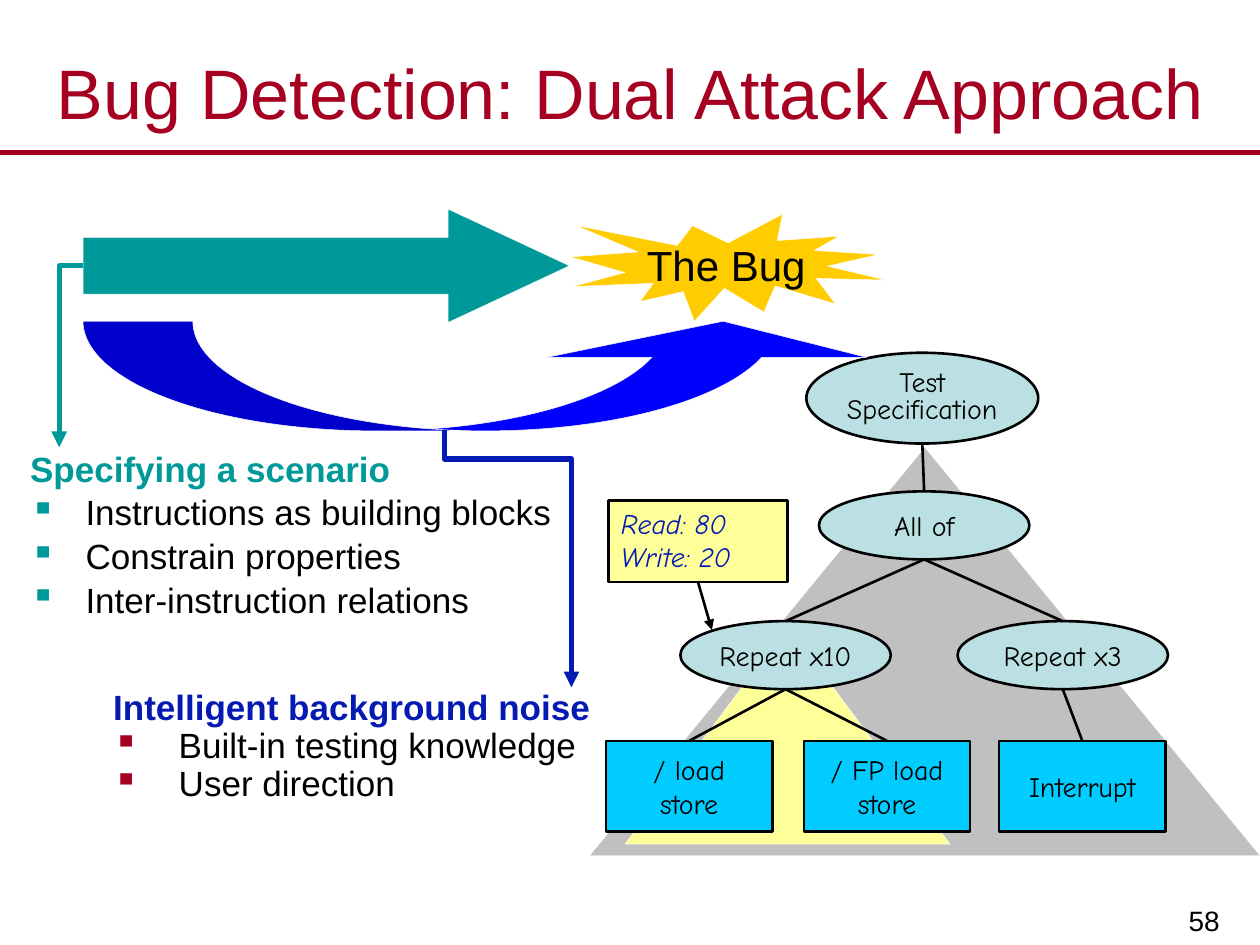
from pptx import Presentation
from pptx.dml.color import RGBColor
from pptx.enum.shapes import MSO_CONNECTOR as Route, MSO_SHAPE as Preset
from pptx.enum.text import MSO_ANCHOR as Anchor, PP_ALIGN as Align
from pptx.oxml.ns import qn
from pptx.util import Inches, Pt
from lxml import etree

COLORS = {
    "crimson": "A50021", "teal": "009999", "navy": "051AB3", "blue": "0000FF",
    "black": "000000", "white": "FFFFFF", "gray": "C0C0C0", "yellow": "FFFF99",
    "gold": "FFCC00", "pale": "BBE0E3", "cyan": "00CCFF",
}
SANS, HAND = "Arial", "Comic Neue"
NODE_W, NODE_H = 1.67, 0.54
LEAF_W, LEAF_H, LEAF_TOP = 1.32, 0.72, 5.88


def rgb(name):
    return RGBColor.from_string(COLORS[name])


def style_font(paragraph, size, face, color, bold=False, italic=False):
    font = paragraph.font
    font.size, font.name = Pt(size), face
    font.bold, font.italic = bold, italic
    font.color.rgb = rgb(color)


def write_lines(frame, lines, size, face, color, align=Align.CENTER,
                spacing=None, italic=False):
    for index, line in enumerate(lines):
        paragraph = frame.paragraphs[0] if index == 0 else frame.add_paragraph()
        paragraph.text = line
        paragraph.alignment = align
        if spacing:
            paragraph.line_spacing = spacing
        style_font(paragraph, size, face, color, italic=italic)


def add_text_box(slide, left, top, width, height, anchor=Anchor.TOP):
    frame = slide.shapes.add_textbox(
        Inches(left), Inches(top), Inches(width), Inches(height)).text_frame
    frame.word_wrap = True
    frame.vertical_anchor = anchor
    return frame


def add_figure(slide, preset, left, top, width, height, fill,
               outline="white", weight=0.25, adjustments=()):
    figure = slide.shapes.add_shape(
        preset, Inches(left), Inches(top), Inches(width), Inches(height))
    figure.shadow.inherit = False
    figure.fill.solid()
    figure.fill.fore_color.rgb = rgb(fill)
    figure.line.color.rgb = rgb(outline)
    figure.line.width = Pt(weight)
    for index, value in enumerate(adjustments):
        figure.adjustments[index] = value
    return figure


def add_node(slide, preset, left, top, width, height, lines, fill, spacing=None):
    """Add a centred, black-outlined box or ellipse of the specification tree."""
    node = add_figure(slide, preset, left, top, width, height, fill, "black", 1.5)
    node.text_frame.word_wrap = False
    node.text_frame.vertical_anchor = Anchor.MIDDLE
    write_lines(node.text_frame, lines, 16, HAND, "black", spacing=spacing)
    return node


def add_line(slide, start, end, color="black", weight=1.5, arrow=False,
             route=Route.STRAIGHT):
    line = slide.shapes.add_connector(route, *map(Inches, start + end))
    line.line.color.rgb = rgb(color)
    line.line.width = Pt(weight)
    if arrow:
        etree.SubElement(line.line._get_or_add_ln(), qn("a:tailEnd"), type="triangle")
    etree.SubElement(line._element.spPr, qn("a:effectLst"))
    return line


def add_branch(slide, parent, child):
    """Join the bottom of a parent node to the top of its child."""
    start = ((parent.left + parent.width // 2) / Inches(1),
             (parent.top + parent.height) / Inches(1))
    add_line(slide, start, start).end_connect(child, 0)


def add_bullet_list(slide, box, heading, items, heading_color, bullet_color,
                    indent, line_spacing=None, gap=0):
    frame = add_text_box(slide, *box)
    for index, line in enumerate([heading] + items):
        paragraph = frame.paragraphs[0] if index == 0 else frame.add_paragraph()
        paragraph.text = line
        paragraph.space_before = Pt(gap)
        if line_spacing:
            paragraph.line_spacing = line_spacing
        style_font(paragraph, 20, SANS, "black" if index else heading_color,
                   bold=index == 0)
        properties = paragraph._p.get_or_add_pPr()
        properties.set("marL", str(Inches(indent)))
        properties.set("indent", str(-Inches(indent)))
        if index:
            tint = etree.Element(qn("a:buClr"))
            etree.SubElement(tint, qn("a:srgbClr"), val=COLORS[bullet_color])
            mark = etree.Element(qn("a:buChar"), char="▪")
            font_defaults = properties.find(qn("a:defRPr"))
            font_defaults.addprevious(tint)
            font_defaults.addprevious(mark)


def add_header_and_number(slide):
    add_line(slide, (0, 1.21), (10, 1.21), "crimson", 3)
    number = add_text_box(slide, 7.8, 6.93, 1.99, 0.57, Anchor.BOTTOM)
    number.margin_left = number.margin_right = Inches(0.11)
    number.margin_top = number.margin_bottom = Inches(0.06)
    write_lines(number, ["58"], 16, SANS, "black", Align.RIGHT)
    title = add_text_box(slide, 0, 0.3, 10, 0.86, Anchor.MIDDLE)
    write_lines(title, ["Bug Detection: Dual Attack Approach"], 40, SANS, "crimson")


def add_specification_tree(slide):
    add_figure(slide, Preset.ISOSCELES_TRIANGLE, 4.68, 3.55, 5.32, 3.24, "gray")
    add_figure(slide, Preset.ISOSCELES_TRIANGLE, 4.96, 4.97, 2.58, 1.73, "yellow")
    root = add_node(slide, Preset.OVAL, 6.4, 2.8, 1.84, 0.72,
                    ["Test", "Specification"], "pale", spacing=0.8)
    all_of, repeat_10, repeat_3 = [
        add_node(slide, Preset.OVAL, left, top, NODE_W, NODE_H, [label], "pale")
        for left, top, label in [(6.5, 3.9, "All of"), (5.4, 4.93, "Repeat x10"),
                                 (7.6, 4.93, "Repeat x3")]]
    load, fp_load, interrupt = [
        add_node(slide, Preset.RECTANGLE, left, LEAF_TOP, LEAF_W, LEAF_H, lines, "cyan")
        for left, lines in [(4.81, ["/ load", "store"]), (6.38, ["/ FP load", "store"]),
                            (7.93, ["Interrupt"])]]
    for parent, child in [(root, all_of), (all_of, repeat_10), (all_of, repeat_3),
                          (repeat_10, load), (repeat_10, fp_load),
                          (repeat_3, interrupt)]:
        add_branch(slide, parent, child)

    ratio = add_figure(slide, Preset.RECTANGLE, 4.83, 3.97, 1.42, 0.65,
                       "yellow", "black", 1.5)
    ratio.text_frame.vertical_anchor = Anchor.TOP
    write_lines(ratio.text_frame, ["Read: 80", "Write: 20"], 16, HAND, "navy",
                Align.LEFT, italic=True)
    pointer = add_line(slide, (5.54, 4.62), (5.65, 5), arrow=True)
    pointer.begin_connect(ratio, 2)


def add_attacks(slide):
    bug = add_figure(slide, Preset.EXPLOSION1, 4.53, 1.7, 2.5, 0.85, "gold")
    bug.text_frame.word_wrap = False
    bug.text_frame.vertical_anchor = Anchor.MIDDLE
    write_lines(bug.text_frame, ["The Bug"], 24, SANS, "black")

    add_figure(slide, Preset.RIGHT_ARROW, 0.66, 1.66, 3.86, 0.9, "teal",
               adjustments=(0.5, 1.07))
    scenario_link = add_line(slide, (0.66, 2.11), (0.47, 3.55), "teal", 3, True,
                             Route.ELBOW)
    scenario_link._element.spPr.find(qn("a:prstGeom")).set("prst", "bentConnector2")

    add_figure(slide, Preset.CURVED_UP_ARROW, 0.66, 2.55, 6.35, 0.87, "blue",
               adjustments=(1.46, 2.92, 0.33))
    # A quarter turn makes the elbow leave and arrive vertically.
    noise_link = add_line(slide, (5.05, 3.93), (3.01, 4.94), "navy", 3, True,
                          Route.ELBOW)
    properties = noise_link._element.spPr
    properties.find(qn("a:xfrm")).set("rot", str(270 * 60000))
    guides = properties.find(qn("a:prstGeom")).find(qn("a:avLst"))
    etree.SubElement(guides, qn("a:gd"), name="adj1", fmla="val 11200")


def main():
    deck = Presentation()
    deck.slide_width, deck.slide_height = Inches(10), Inches(7.5)
    slide = deck.slides.add_slide(deck.slide_layouts[6])
    add_header_and_number(slide)
    add_bullet_list(slide, (0.14, 3.5, 4.49, 1.72), "Specifying a scenario",
                    ["Instructions as building blocks", "Constrain properties",
                     "Inter-instruction relations"], "teal", "teal", 0.44, gap=1)
    add_specification_tree(slide)
    add_bullet_list(slide, (0.8, 5.43, 4.09, 1.19), "Intelligent background noise",
                    ["Built-in testing knowledge", "User direction"],
                    "navy", "crimson", 0.52, line_spacing=0.9)
    add_attacks(slide)
    deck.save("out.pptx")


if __name__ == "__main__":
    main()
